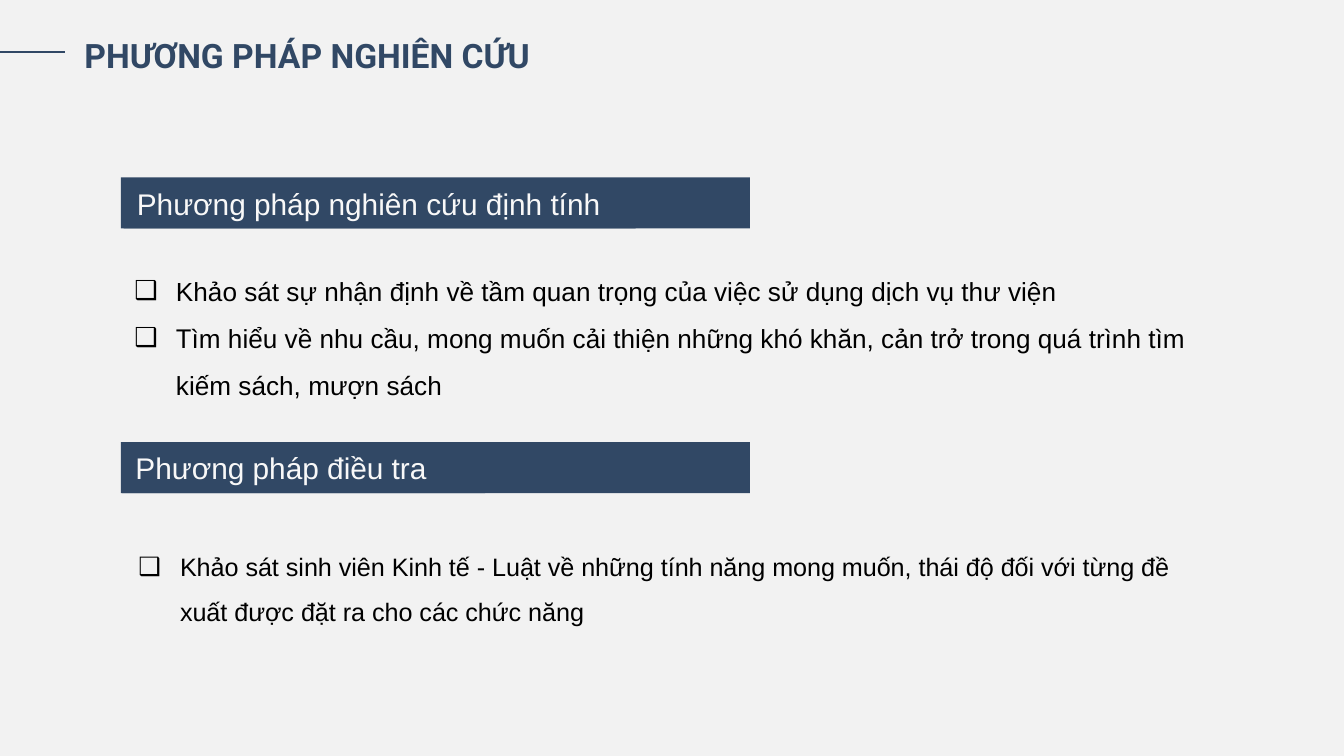
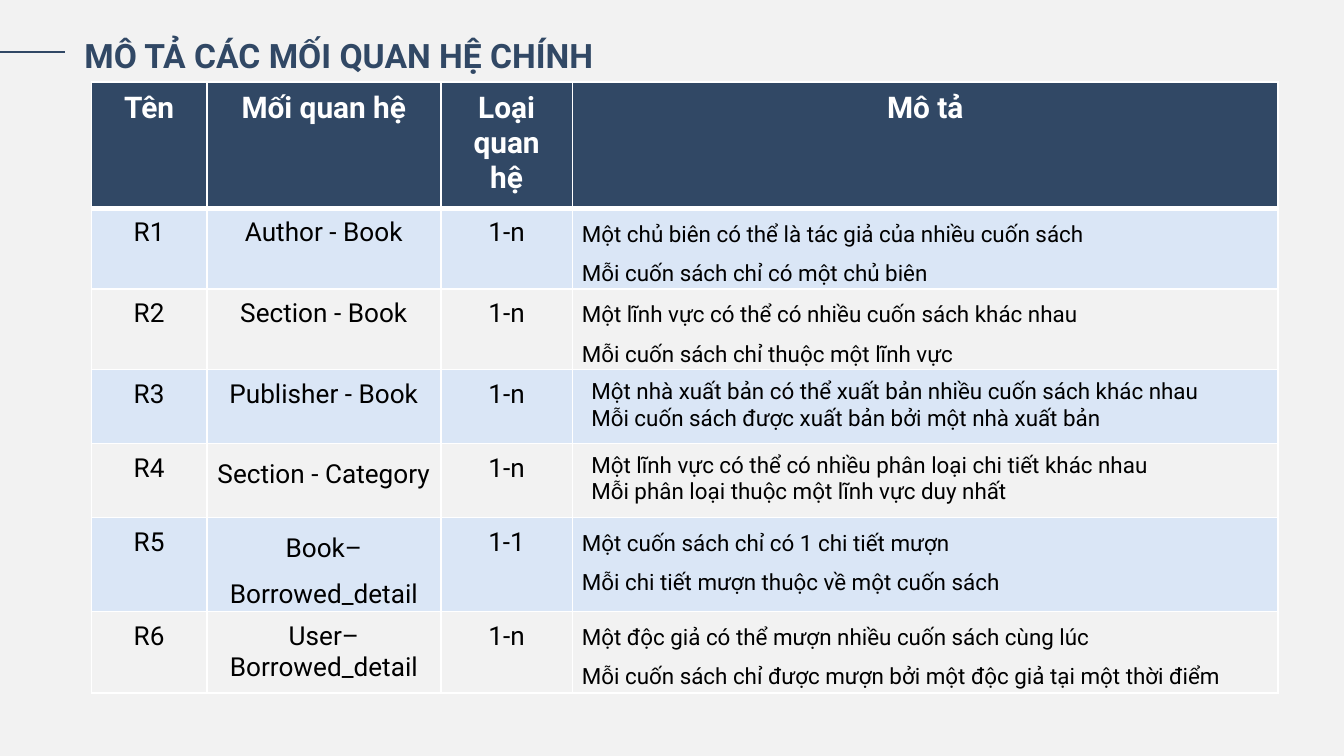
from lxml import etree
from pptx import Presentation
from pptx.dml.color import RGBColor
from pptx.enum.shapes import MSO_CONNECTOR, MSO_SHAPE
from pptx.enum.text import MSO_ANCHOR, MSO_AUTO_SIZE, PP_ALIGN
from pptx.oxml.ns import qn
from pptx.util import Inches, Pt

RECTANGLE, STRAIGHT = MSO_SHAPE.RECTANGLE, MSO_CONNECTOR.STRAIGHT
TOP, GROW = MSO_ANCHOR.TOP, MSO_AUTO_SIZE.SHAPE_TO_FIT_TEXT
LEFT, CENTER, JUSTIFY = PP_ALIGN.LEFT, PP_ALIGN.CENTER, PP_ALIGN.JUSTIFY

NAVY = RGBColor(0x31, 0x48, 0x65)
PAPER = RGBColor(0xF2, 0xF2, 0xF2)
PALE_BLUE = RGBColor(0xDA, 0xE6, 0xF6)
OFF_WHITE = RGBColor(0xF8, 0xF8, 0xF8)
WHITE = RGBColor(0xFF, 0xFF, 0xFF)
BLACK = RGBColor(0x00, 0x00, 0x00)
HEAD_FONT, BODY_FONT = "Roboto", "Arial"

# Insets: left, top, right, bottom
BOX_INSETS = (0.1, 0.05, 0.1, 0.05)
LIST_INSETS = (0.07, 0.04, 0.07, 0.04)
PADDED = (0.14, 0.07, 0.14, 0.07)
TIGHT = (0.07, 0, 0.07, 0)

METHODS_TITLE = "PHƯƠNG PHÁP NGHIÊN CỨU"
METHODS_TITLE_WIDTH = 4.03
BAND_LEFT, BAND_WIDTH, BAND_HEIGHT = 0.9, 4.68, 0.38
# Each method: heading, band top, label (left, width), list area, size, bullets as (text, font) runs
METHODS = [
    ("Phương pháp nghiên cứu định tính", 1.32, (0.92, 3.81), (0.93, 1.89, 8, 1.09), 14, [
        [("Khảo sát sự nhận định về tầm quan trọng của việc sử dụng dịch vụ thư viện", BODY_FONT)],
        [("T", HEAD_FONT),
         ("ìm hiểu về nhu cầu, mong muốn cải thiện những khó khăn, cản trở trong quá trình "
          "tìm kiếm sách, mượn sách", BODY_FONT)],
    ]),
    ("Phương pháp điều tra", 3.29, (0.91, 2.7), (0.96, 3.95, 8, 0.72), 13.5, [
        [("Khảo sát sinh viên Kinh tế - Luật về những tính năng mong muốn, thái độ đối với "
          "từng đề xuất được đặt ra cho các chức năng", BODY_FONT)],
    ]),
]

RELATIONS_TITLE = "MÔ TẢ CÁC MỐI QUAN HỆ CHÍNH"
RELATIONS_TITLE_WIDTH = 4.38
TABLE_AREA = (0.68, 0.61, 8.83, 4.69)
COLUMN_WIDTHS = (0.86, 1.74, 0.98, 5.25)
HEADER_HEIGHT, ROW_HEIGHT = 0.58, 0.55
HEADERS = ("Tên", "Mối quan hệ", "Loại quan hệ", "Mô tả")
# Each relation: pair, pair insets, kind, description lines, description insets
RELATIONS = [
    ("Author - Book", PADDED, "1-n",
     ("Một chủ biên có thể là tác giả của nhiều cuốn sách",
      "Mỗi cuốn sách chỉ có một chủ biên"), TIGHT),
    ("Section - Book", PADDED, "1-n",
     ("Một lĩnh vực có thể có nhiều cuốn sách khác nhau",
      "Mỗi cuốn sách chỉ thuộc một lĩnh vực"), TIGHT),
    ("Publisher - Book", PADDED, "1-n",
     ("Một nhà xuất bản có thể xuất bản nhiều cuốn sách khác nhau",
      "Mỗi cuốn sách được xuất bản bởi một nhà xuất bản"), PADDED),
    ("Section - Category", TIGHT, "1-n",
     ("Một lĩnh vực có thể có nhiều phân loại chi tiết khác nhau",
      "Mỗi phân loại thuộc một lĩnh vực duy nhất"), PADDED),
    ("Book– Borrowed_detail", TIGHT, "1-1",
     ("Một cuốn sách chỉ có 1 chi tiết mượn",
      "Mỗi chi tiết mượn thuộc về một cuốn sách"), TIGHT),
    ("User– Borrowed_detail", PADDED, "1-n",
     ("Một độc giả có thể mượn nhiều cuốn sách cùng lúc",
      "Mỗi cuốn sách chỉ được mượn bởi một độc giả tại một thời điểm"), TIGHT),
]


def inches(values):
    return [Inches(value) for value in values]


def set_insets(holder, insets):
    """Set the margins of a text frame or a table cell."""
    (holder.margin_left, holder.margin_top,
     holder.margin_right, holder.margin_bottom) = inches(insets)


def add_span(para, text, size, color, font=HEAD_FONT, bold=False):
    span = para.add_run()
    span.text = text
    span.font.name, span.font.size, span.font.bold = font, Pt(size), bold
    span.font.color.rgb = color


def paragraphs(frame, count):
    """Return the first paragraph of the frame and as many new ones as needed."""
    return [frame.paragraphs[0]] + [frame.add_paragraph() for _ in range(count - 1)]


def prepare_frame(box, insets=BOX_INSETS):
    frame = box.text_frame
    frame.word_wrap, frame.auto_size, frame.vertical_anchor = True, GROW, TOP
    set_insets(frame, insets)
    return frame


def add_page(deck, title, title_width):
    page = deck.slides.add_slide(deck.slide_layouts[6])
    page.background.fill.solid()
    page.background.fill.fore_color.rgb = PAPER

    rule = page.shapes.add_connector(STRAIGHT, *inches((-0.26, 0.39, 0.48, 0.39)))
    rule.line.color.rgb, rule.line.width = NAVY, Pt(1)
    etree.SubElement(rule._element.spPr, qn("a:effectLst"))

    box = page.shapes.add_textbox(*inches((0.53, 0.21, title_width, 0.4)))
    add_span(prepare_frame(box).paragraphs[0], title, 18, NAVY, bold=True)
    return page


def add_bar(shapes, area):
    bar = shapes.add_shape(RECTANGLE, *inches(area))
    bar.shadow.inherit = False
    bar.fill.solid()
    bar.fill.fore_color.rgb = NAVY
    bar.line.fill.background()
    return bar


def add_heading(page, text, top, label_left, label_width):
    group = page.shapes.add_group_shape()
    add_bar(group.shapes, (BAND_LEFT, top, BAND_WIDTH, BAND_HEIGHT))
    label = add_bar(group.shapes, (label_left, top + 0.01, label_width, BAND_HEIGHT - 0.01))
    para = prepare_frame(label).paragraphs[0]
    para.alignment = LEFT
    add_span(para, text, 16, OFF_WHITE, BODY_FONT)


def add_bullets(page, area, size, bullets):
    frame = prepare_frame(page.shapes.add_textbox(*inches(area)), LIST_INSETS)
    for para, spans in zip(paragraphs(frame, len(bullets)), bullets):
        properties = para._p.get_or_add_pPr()
        properties.set("marL", str(Inches(0.31)))
        properties.set("indent", str(-Inches(0.31)))
        etree.SubElement(properties, qn("a:buFont")).set("typeface", BODY_FONT)
        etree.SubElement(properties, qn("a:buChar")).set("char", "❑")
        para.line_spacing = 1.5
        for text, font in spans:
            add_span(para, text, size, BLACK, font)


def set_borders(cell, top, bottom):
    properties = cell._tc.get_or_add_tcPr()
    for side, width in (("L", 1), ("R", 1), ("T", top), ("B", bottom)):
        line = etree.SubElement(properties, qn(f"a:ln{side}"), w=str(Pt(width)))
        fill = etree.SubElement(line, qn("a:solidFill"))
        etree.SubElement(fill, qn("a:srgbClr"), val=str(WHITE))


def fill_cell(cell, lines, size, color, fill, insets=PADDED, alignment=CENTER, bold=False):
    set_insets(cell, insets)
    cell.fill.solid()
    cell.fill.fore_color.rgb = fill
    for para, text in zip(paragraphs(cell.text_frame, len(lines)), lines):
        para.alignment = alignment
        if insets == TIGHT:
            para.line_spacing = 1.5
        add_span(para, text, size, color, bold=bold)


def add_relations_table(page):
    holder = page.shapes.add_table(len(RELATIONS) + 1, len(HEADERS), *inches(TABLE_AREA))
    table = holder.table
    table.horz_banding = False
    for column, width in zip(table.columns, COLUMN_WIDTHS):
        column.width = Inches(width)
    for index, row in enumerate(table.rows):
        row.height = Inches(ROW_HEIGHT if index else HEADER_HEIGHT)
        for cell in row.cells:
            set_borders(cell, 3 if index == 1 else 1, 1 if index else 3)
    holder.height = Inches(TABLE_AREA[3])

    for column, text in enumerate(HEADERS):
        fill_cell(table.cell(0, column), [text], 16, WHITE, NAVY, bold=True)
    for row, (pair, pair_insets, kind, lines, insets) in enumerate(RELATIONS, 1):
        fill = PALE_BLUE if row % 2 else PAPER
        short_cells = ((f"R{row}", PADDED), (pair, pair_insets), (kind, PADDED))
        for column, (text, cell_insets) in enumerate(short_cells):
            fill_cell(table.cell(row, column), [text], 14, BLACK, fill, cell_insets)
        alignment = JUSTIFY if insets == TIGHT else LEFT
        fill_cell(table.cell(row, 3), lines, 12, BLACK, fill, insets, alignment)


def main():
    deck = Presentation()
    deck.slide_width = Inches(10)
    deck.slide_height = deck.slide_width * 9 // 16

    page = add_page(deck, METHODS_TITLE, METHODS_TITLE_WIDTH)
    for heading, top, label, area, size, bullets in METHODS:
        add_heading(page, heading, top, *label)
        add_bullets(page, area, size, bullets)

    add_relations_table(add_page(deck, RELATIONS_TITLE, RELATIONS_TITLE_WIDTH))
    deck.save("out.pptx")


if __name__ == "__main__":
    main()
